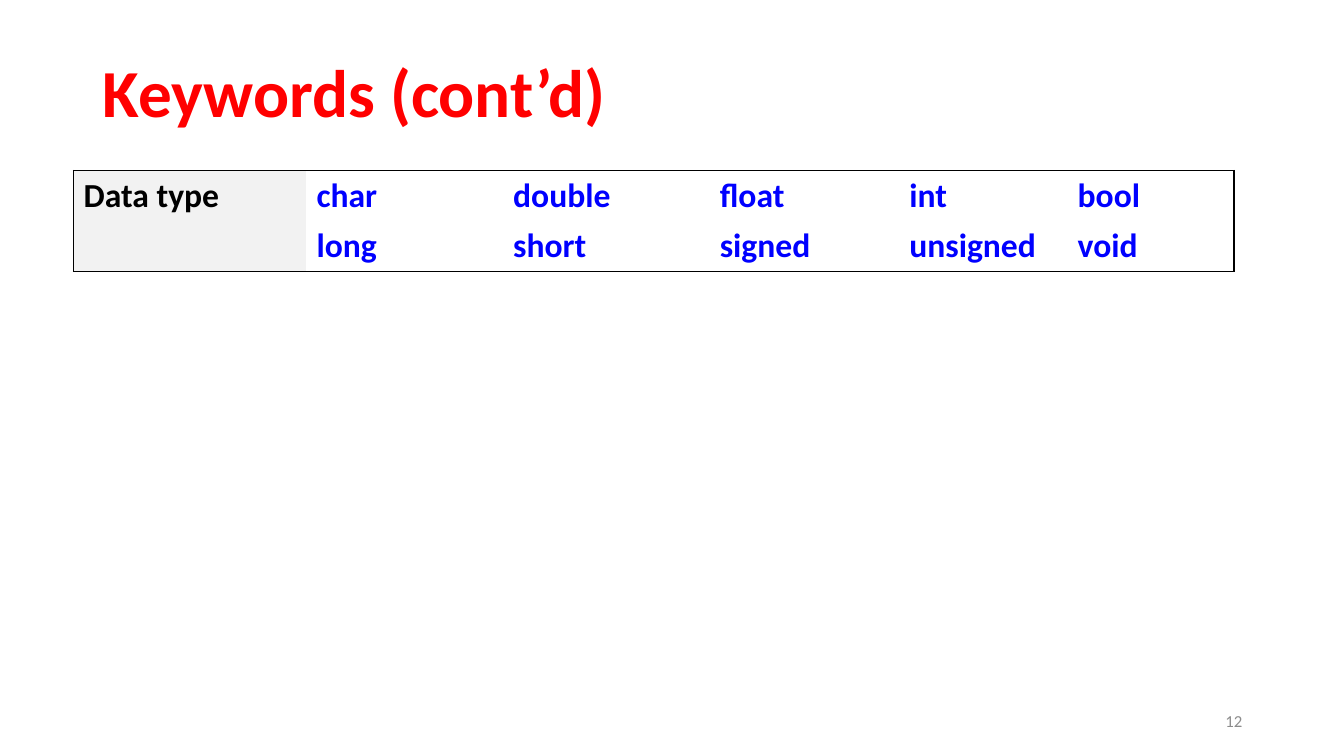
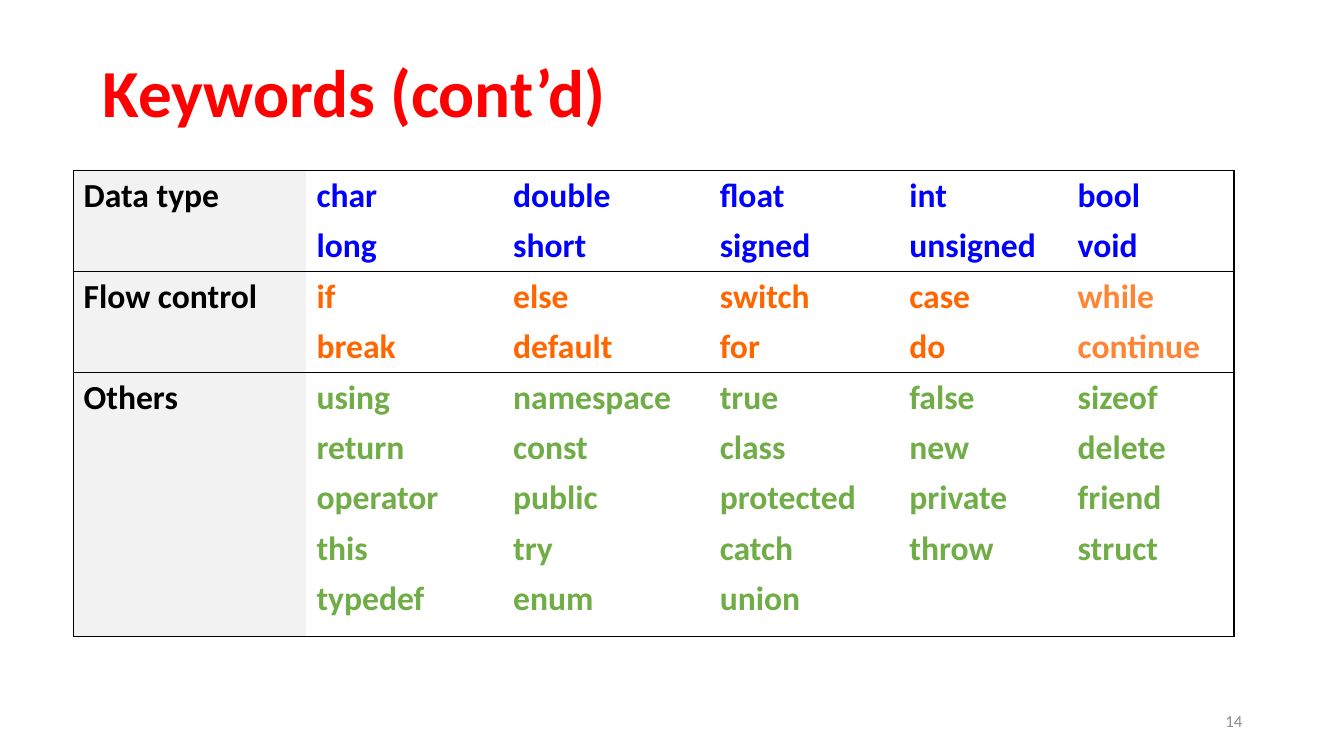
"""Build two slides that list programming keywords by category."""

from dataclasses import dataclass
from typing import Sequence

from lxml.etree import SubElement
from pptx import Presentation
from pptx.dml.color import RGBColor
from pptx.enum.text import MSO_ANCHOR as Anchor, PP_ALIGN as Align
from pptx.oxml.ns import qn
from pptx.util import Inches, Pt

RED = RGBColor(0xFF, 0x00, 0x00)
BLACK = RGBColor(0x00, 0x00, 0x00)
GRAY = RGBColor(0x8C, 0x8C, 0x8C)
PALE_GRAY = RGBColor(0xF2, 0xF2, 0xF2)
BLUE = RGBColor(0x00, 0x00, 0xFF)
ORANGE = RGBColor(0xFF, 0x66, 0x00)
LIGHT_ORANGE = RGBColor(0xFF, 0x85, 0x34)
GREEN = RGBColor(0x70, 0xAD, 0x47)

FONT = "Calibri"
TITLE = "Keywords (cont’d)"
COLUMN_WIDTHS = (2.31, 1.95, 2.05, 1.88, 1.67, 1.65)
ROW_HEIGHT = 0.5
TALL_ROW_HEIGHT = 0.62
BORDER_TAGS = {"left": "a:lnL", "right": "a:lnR", "top": "a:lnT", "bottom": "a:lnB"}


@dataclass(frozen=True)
class Category:
    name: str
    color: RGBColor
    last_column_color: RGBColor
    keyword_rows: tuple[str, ...]
    last_row_height: float = ROW_HEIGHT


DATA_TYPE = Category("Data type", BLUE, BLUE, (
    "char double float int bool",
    "long short signed unsigned void",
))
FLOW_CONTROL = Category("Flow control", ORANGE, LIGHT_ORANGE, (
    "if else switch case while",
    "break default for do continue",
))
OTHERS = Category("Others", GREEN, GREEN, (
    "using namespace true false sizeof",
    "return const class new delete",
    "operator public protected private friend",
    "this try catch throw struct",
    "typedef enum union",
), TALL_ROW_HEIGHT)


def write_text(text_frame, text: str, *, size: float, color: RGBColor, bold: bool = False,
               align: Align = Align.LEFT, line_spacing: float = 1.0) -> None:
    paragraph = text_frame.paragraphs[0]
    paragraph.alignment = align
    paragraph.line_spacing = line_spacing
    run = paragraph.add_run()
    run.text = text
    run.font.name = FONT
    run.font.size = Pt(size)
    run.font.bold = bold
    run.font.color.rgb = color


def add_text_box(slide, left: float, top: float, width: float, height: float,
                 text: str, **text_format) -> None:
    shape = slide.shapes.add_textbox(Inches(left), Inches(top), Inches(width), Inches(height))
    shape.text_frame.word_wrap = True
    shape.text_frame.vertical_anchor = Anchor.MIDDLE
    write_text(shape.text_frame, text, **text_format)


def set_borders(cell, visible_sides: set[str]) -> None:
    properties = cell._tc.get_or_add_tcPr()
    for side, tag in BORDER_TAGS.items():
        line = SubElement(properties, qn(tag), w=str(Pt(1)))
        if side in visible_sides:
            fill = SubElement(line, qn("a:solidFill"))
            SubElement(fill, qn("a:srgbClr"), val=str(BLACK))
        else:
            SubElement(line, qn("a:noFill"))


def fill_category(table, first_row: int, category: Category) -> None:
    last_row = first_row + len(category.keyword_rows) - 1
    last_column = len(COLUMN_WIDTHS) - 1
    for row, keywords in enumerate(category.keyword_rows, first_row):
        table.rows[row].height = Inches(
            category.last_row_height if row == last_row else ROW_HEIGHT)
        for column in range(len(COLUMN_WIDTHS)):
            edges = {"left": column == 0, "right": column == last_column,
                     "top": row == first_row, "bottom": row == last_row}
            if column == 0:
                edges.update(top=True, bottom=True)
            cell = table.cell(row, column)
            set_borders(cell, {side for side, visible in edges.items() if visible})
            if column == 0:
                cell.fill.solid()
                cell.fill.fore_color.rgb = PALE_GRAY
            else:
                cell.fill.background()
        for column, keyword in enumerate(keywords.split(), 1):
            color = category.last_column_color if column == last_column else category.color
            write_text(table.cell(row, column).text_frame, keyword,
                       size=24, color=color, bold=True)
    heading = table.cell(first_row, 0)
    heading.merge(table.cell(last_row, 0))
    write_text(heading.text_frame, category.name, size=24, color=BLACK, bold=True)


def add_keyword_table(slide, categories: Sequence[Category]) -> None:
    row_count = sum(len(category.keyword_rows) for category in categories)
    table = slide.shapes.add_table(
        row_count, len(COLUMN_WIDTHS), Inches(0.73), Inches(1.69),
        Inches(sum(COLUMN_WIDTHS)), Inches(row_count * ROW_HEIGHT)).table
    table.first_row = False
    table.horz_banding = False
    for column, width in zip(table.columns, COLUMN_WIDTHS):
        column.width = Inches(width)
    first_row = 0
    for category in categories:
        fill_category(table, first_row, category)
        first_row += len(category.keyword_rows)


def add_keyword_slide(presentation, number: int, categories: Sequence[Category]) -> None:
    slide = presentation.slides.add_slide(presentation.slide_layouts[6])
    add_text_box(slide, 0.92, 0.4, 11.5, 1.1, TITLE,
                 size=48, color=RED, bold=True, line_spacing=0.9)
    add_text_box(slide, 9.42, 6.95, 3, 0.4, str(number),
                 size=12, color=GRAY, align=Align.RIGHT)
    add_keyword_table(slide, categories)


def main() -> None:
    presentation = Presentation()
    presentation.slide_width = Inches(13.33)
    presentation.slide_height = Inches(7.5)
    add_keyword_slide(presentation, 12, [DATA_TYPE])
    add_keyword_slide(presentation, 14, [DATA_TYPE, FLOW_CONTROL, OTHERS])
    presentation.save("out.pptx")


if __name__ == "__main__":
    main()
